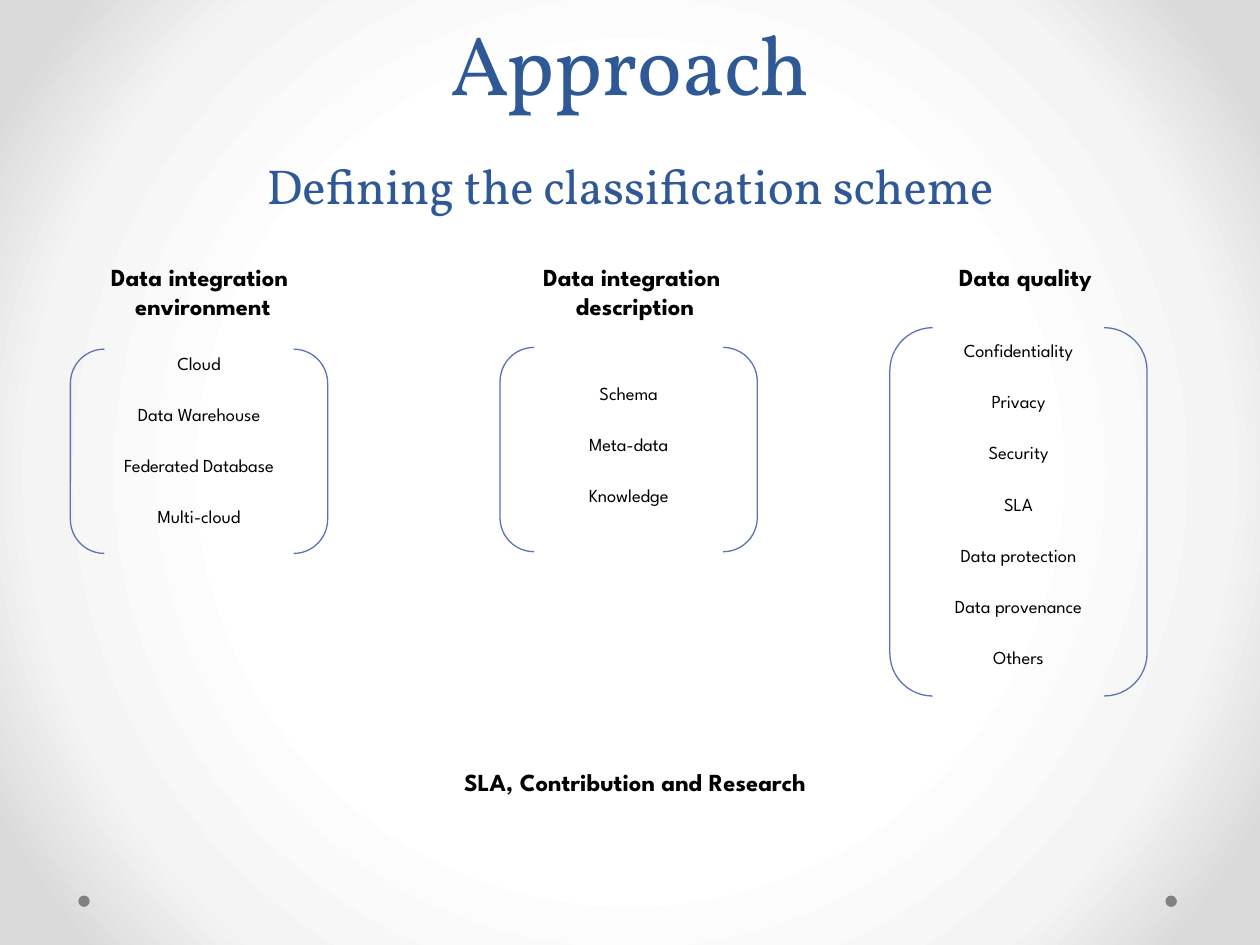
from pptx import Presentation
from pptx.dml.color import RGBColor
from pptx.enum.shapes import MSO_SHAPE
from pptx.enum.text import MSO_ANCHOR, MSO_AUTO_SIZE, PP_ALIGN
from pptx.oxml import parse_xml
from pptx.oxml.ns import nsdecls, qn
from pptx.util import Pt

CENTER = PP_ALIGN.CENTER
BOTTOM = MSO_ANCHOR.BOTTOM
GROW = MSO_AUTO_SIZE.SHAPE_TO_FIT_TEXT
OVAL, BRACKETS = MSO_SHAPE.OVAL, MSO_SHAPE.DOUBLE_BRACKET
COLORS = {"title": "2F5897", "text": "000000", "bracket": "5C72B2", "dot": "808080"}
GLOW = {50: "FFFFFF", 76: "F4F4F4", 92: "DADADA"}
NO_STYLE = "{2D5ABB26-0587-4C30-8999-92F81FD0307C}"
COLUMN_W, ROW_H = 147, 29.25


class Deck:
    """Style and current slide, with a method for each kind of element."""

    title_font, body_font = "Vollkorn", "League Spartan"

    def __init__(self, width, height):
        self.prs = Presentation()
        self.prs.slide_width, self.prs.slide_height = Pt(width), Pt(height)
        self.s = self.prs.slides.add_slide(self.prs.slide_layouts[6])

    def color(self, name):
        return RGBColor.from_string(COLORS[name])

    def font(self, font, name, size, color, bold=False):
        font.name, font.size, font.bold = name, Pt(size), bold
        font.color.rgb = self.color(color)

    def background(self, stops):
        self.s.background.fill.gradient()
        grad = self.s.element.find(".//" + qn("a:gradFill"))
        gs = "".join(f'<a:gs pos="{pos * 1000}"><a:srgbClr val="{c}"/></a:gs>'
                     for pos, c in stops.items())
        grad.getparent().replace(grad, parse_xml(
            f'<a:gradFill {nsdecls("a")} rotWithShape="1"><a:gsLst>{gs}</a:gsLst>'
            '<a:path path="circle"><a:fillToRect l="50000" t="50000" r="50000" b="50000"/>'
            '</a:path></a:gradFill>'))

    def dot(self, x, y, size):
        sp = self.s.shapes.add_shape(OVAL, Pt(x), Pt(y), Pt(size), Pt(size))
        sp.shadow.inherit = False
        sp.fill.solid()
        sp.fill.fore_color.rgb = self.color("dot")
        sp.line.fill.background()

    def title(self, x, y, w, h, lines):
        tf = self.s.shapes.add_textbox(Pt(x), Pt(y), Pt(w), Pt(h)).text_frame
        tf.word_wrap, tf.vertical_anchor = True, BOTTOM
        p = tf.paragraphs[0]
        p.alignment, p.line_spacing = CENTER, Pt(58)
        for i, (text, size) in enumerate(lines):
            if i:
                p.add_line_break()
            r = p.add_run()
            r.text = text
            self.font(r.font, self.title_font, size, "title")

    def heading(self, x, y, w, h, lines):
        tf = self.s.shapes.add_textbox(Pt(x), Pt(y), Pt(w), Pt(h)).text_frame
        tf.word_wrap, tf.auto_size = False, GROW
        tf.text = "\n".join(lines)
        for p in tf.paragraphs:
            p.alignment = CENTER
            self.font(p.font, self.body_font, 14, "text", True)

    def table(self, x, y, items):
        frame = self.s.shapes.add_table(len(items), 1, Pt(x), Pt(y),
                                        Pt(COLUMN_W), Pt(ROW_H * len(items)))
        frame.element.find(".//" + qn("a:tableStyleId")).text = NO_STYLE
        table = frame.table
        table.first_row = table.horz_banding = False
        for row, item in zip(table.rows, items):
            row.height = Pt(ROW_H)
            cell = row.cells[0]
            cell.fill.background()
            cell.text = item
            p = cell.text_frame.paragraphs[0]
            p.alignment = CENTER
            self.font(p.font, self.body_font, 10.5, "text")

    def brackets(self, x, y, h):
        sp = self.s.shapes.add_shape(BRACKETS, Pt(x), Pt(y), Pt(COLUMN_W), Pt(h))
        sp.shadow.inherit = False
        sp.fill.background()
        sp.line.color.rgb = self.color("bracket")
        sp.line.width = Pt(0.75)


def main():
    deck = Deck(720, 540)
    deck.background(GLOW)
    for x in (666, 44.75):
        deck.dot(x, 511.75, 6.5)
    deck.title(36, 0, 648, 126,
               [("Approach", 48), ("Defining the classification scheme", 28)])
    dimensions = [
        (40.25, (50.4, 131), ["Data integration ", "environment"], (199.5, 116.75), 200.75,
         ["Cloud", "Data Warehouse", "Federated Database", "Multi-cloud"]),
        (285.75, (297.4, 131), ["Data integration ", "description"], (198.5, 116.75), 218,
         ["Schema", "Meta-data", "Knowledge"]),
        (508.5, (537, 98), ["Data quality"], (187.25, 210.5), 193.5,
         ["Confidentiality", "Privacy", "Security", "SLA", "Data protection",
          "Data provenance", "Others"]),
    ]
    for x, (head_x, head_w), head, (top, height), table_y, items in dimensions:
        deck.table(x, table_y, items)
        deck.heading(head_x, 146, head_w, 7.5 + 16.75 * len(head), head)
        deck.brackets(x, top, height)
    deck.heading(248.4, 435, 229, 24.25, ["SLA, Contribution and Research"])
    deck.prs.save("out.pptx")


if __name__ == "__main__":
    main()
